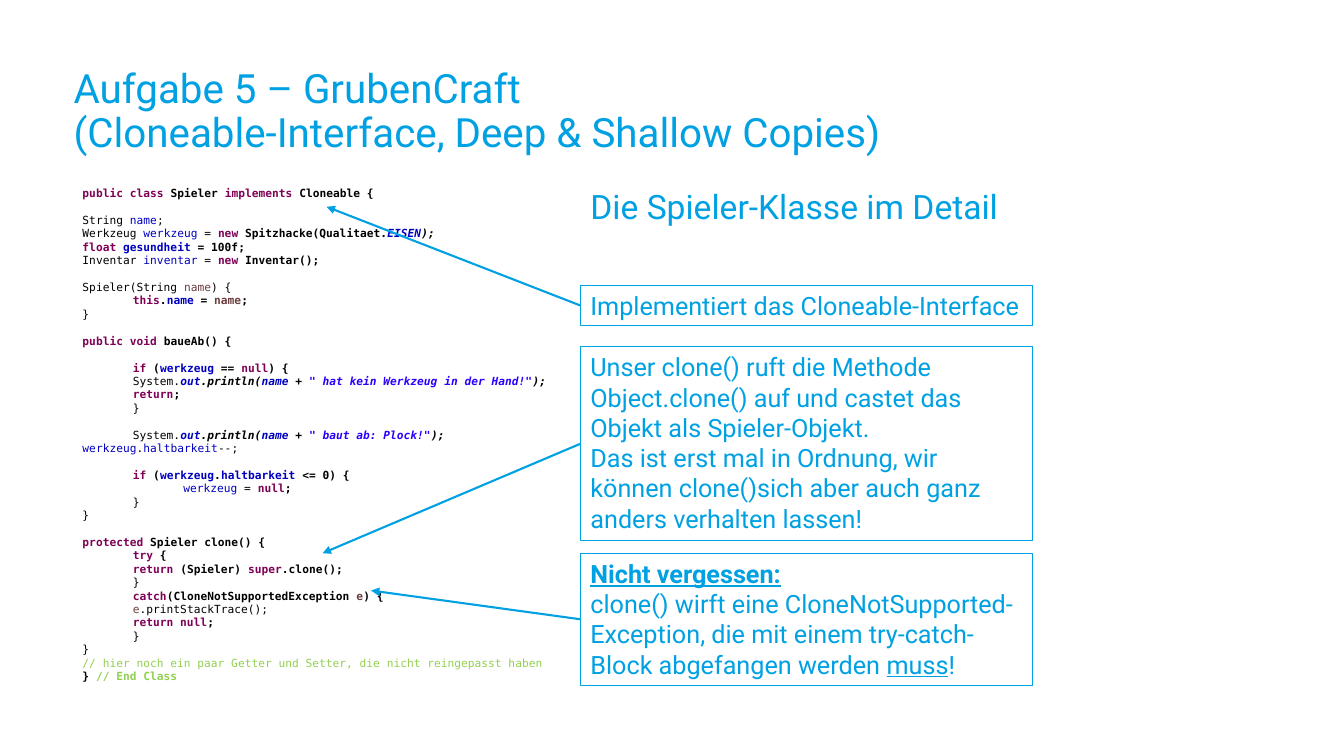
from lxml.etree import SubElement
from pptx import Presentation
from pptx.dml.color import RGBColor
from pptx.enum.shapes import MSO_CONNECTOR, MSO_SHAPE
from pptx.enum.text import MSO_ANCHOR, MSO_AUTO_SIZE, PP_ALIGN
from pptx.oxml.ns import qn
from pptx.util import Cm, Pt

SKY = RGBColor(0x00, 0xA1, 0xE3)
BLACK = RGBColor(0x00, 0x00, 0x00)
KEYWORD = RGBColor(0x7F, 0x00, 0x55)
FIELD = RGBColor(0x00, 0x00, 0xC0)
PARAMETER = RGBColor(0x6A, 0x3E, 0x3E)
STRING = RGBColor(0x2A, 0x00, 0xFF)
COMMENT = RGBColor(0x92, 0xD0, 0x50)

TOKEN_STYLES = {
    "n": dict(color=BLACK),
    "b": dict(color=BLACK, bold=True),
    "i": dict(color=BLACK, bold=True, italic=True),
    "k": dict(color=KEYWORD, bold=True),
    "f": dict(color=FIELD),
    "F": dict(color=FIELD, bold=True),
    "I": dict(color=FIELD, bold=True, italic=True),
    "p": dict(color=PARAMETER),
    "P": dict(color=PARAMETER, bold=True),
    "s": dict(color=STRING, bold=True, italic=True),
    "c": dict(color=COMMENT),
    "C": dict(color=COMMENT, bold=True),
}

INDENT_MARK = ">"
CODE_BLOCKS = [
    ["kpublic class§b Spieler §kimplements§b Cloneable {"],
    ["nString §fname§n;",
     "nWerkzeug §fwerkzeug§n = §knew§b Spitzhacke(Qualitaet.§IEISEN§i);",
     "kfloat §Fgesundheit§b = 100f;",
     "nInventar §finventar§n = §knew§b Inventar();"],
    ["nSpieler(String §pname§n) {",
     "k\tthis§b.§Fname§b = §Pname§b;",
     "n}"],
    ["kpublic void §bbaueAb() {"],
    [">kif§b (§Fwerkzeug§b == §knull§b) {",
     'n\tSystem.§Iout§i.println(§Iname§i + §s" hat kein Werkzeug in der Hand!"§i);',
     "k\treturn§b;",
     "n\t}"],
    ['n\tSystem.§Iout§i.println(§Iname§i + §s" baut ab: Plock!"§i);\t'
     "§fwerkzeug§n.§fhaltbarkeit§n--;"],
    ["k\tif§b (§Fwerkzeug§b.§Fhaltbarkeit§b <= 0) {",
     "f\t\twerkzeug§n = §knull§b;",
     "n\t}",
     "n}"],
    ["kprotected§b Spieler clone() {",
     "k\ttry§b {",
     "k\treturn§b (Spieler) §ksuper§b.clone();",
     "n\t}",
     ">kcatch§b(CloneNotSupportedException §Pe§b) {",
     ">pe§n.printStackTrace();",
     ">kreturn null§b;",
     ">n}",
     "n}",
     "c// hier noch ein paar Getter und Setter, die nicht reingepasst haben",
     "b} §C// End Class"],
]

COLUMN_LEFT, COLUMN_WIDTH = Cm(14.63), Cm(11.38)
HEADING = dict(bold=True, underline=True)
NOTES = [
    (7.19, 1.02, (8.23, 5.21), [[("Implementiert das Cloneable-Interface", {})]]),
    (8.74, 4.88, (8.13, 13.94), [
        [("Unser clone() ruft die Methode Object.clone() auf und castet das "
          "Objekt als Spieler-Objekt.", {})],
        [("Das ist erst mal in Ordnung, wir können clone()sich aber auch ganz "
          "anders verhalten lassen!", {})]]),
    (13.94, 3.33, (9.35, 14.88), [
        [("Nicht vergessen:", HEADING)],
        [("clone() wirft eine CloneNotSupported-Exception, die mit einem "
          "try-catch-Block abgefangen werden ", {}),
         ("muss", dict(underline=True)), ("!", {})]]),
]


def add_run(paragraph, text, *, font="Roboto", size=18, color=SKY,
            bold=False, italic=False, underline=False):
    """Append formatted text to a paragraph."""
    run = paragraph.add_run()
    run.text = text
    run.font.name = font
    run.font.size = Pt(size)
    run.font.color.rgb = color
    run.font.bold = bold
    run.font.italic = italic
    run.font.underline = underline


def next_paragraph(frame, is_first):
    """Return the frame's first paragraph or a new left-aligned one."""
    paragraph = frame.paragraphs[0] if is_first else frame.add_paragraph()
    paragraph.alignment = PP_ALIGN.LEFT
    return paragraph


def fill_title(title, lines):
    """Place the title and set its lines with a break between them."""
    title.left, title.top = Cm(1.6), Cm(1.6)
    title.width, title.height = Cm(29.21), Cm(2.46)
    frame = title.text_frame
    frame.auto_size = MSO_AUTO_SIZE.NONE
    frame.vertical_anchor = MSO_ANCHOR.MIDDLE
    heading = next_paragraph(frame, True)
    heading.line_spacing = 0.9
    for number, line in enumerate(lines):
        if number:
            heading.add_line_break()
        add_run(heading, line, size=28.8)


def add_text_box(slide, left, top, width, height):
    """Add a wrapping text box and return its text frame."""
    frame = slide.shapes.add_textbox(left, top, width, height).text_frame
    frame.word_wrap = True
    return frame


def add_code(slide):
    """Add the highlighted class listing."""
    frame = add_text_box(slide, Cm(1.83), Cm(4.57), Cm(12.83), Cm(12.9))
    for block_number, block in enumerate(CODE_BLOCKS):
        for line_number, line in enumerate(block):
            statement = next_paragraph(frame, block_number + line_number == 0)
            if block_number and line_number == 0:
                statement.space_before = Pt(9.6)
            if line.startswith(INDENT_MARK):
                properties = statement._p.get_or_add_pPr()
                properties.set("marL", str(Cm(1.27)))
                properties.set("indent", "0")
            for token in line.lstrip(INDENT_MARK).split("§"):
                add_run(statement, token[1:], font="DejaVu Sans Mono", size=8,
                        **TOKEN_STYLES[token[0]])


def add_note(slide, top, height, paragraphs):
    """Add an outlined note and return it."""
    note = slide.shapes.add_shape(MSO_SHAPE.RECTANGLE, COLUMN_LEFT, Cm(top),
                                  COLUMN_WIDTH, Cm(height))
    note.shadow.inherit = False
    note.fill.background()
    note.line.color.rgb = SKY
    note.line.width = Pt(0.75)
    frame = note.text_frame
    frame.word_wrap = True
    frame.vertical_anchor = MSO_ANCHOR.TOP
    for number, parts in enumerate(paragraphs):
        sentence = next_paragraph(frame, number == 0)
        for text, style in parts:
            add_run(sentence, text, **style)
    return note


def add_arrow(slide, note, target):
    """Draw an arrow from a note's left side to a place in the code."""
    x, y = (Cm(value) for value in target)
    arrow = slide.shapes.add_connector(MSO_CONNECTOR.STRAIGHT, x, y, x, y)
    arrow.begin_connect(note, 1)
    arrow.line.color.rgb = SKY
    arrow.line.width = Pt(1.5)
    SubElement(arrow.line._get_or_add_ln(), qn("a:tailEnd"), type="triangle")
    SubElement(arrow._element.spPr, qn("a:effectLst"))


def main():
    """Build the slide and save it."""
    deck = Presentation()
    deck.slide_width, deck.slide_height = Cm(33.87), Cm(19.05)
    slide = deck.slides.add_slide(deck.slide_layouts[5])
    fill_title(slide.shapes.title, ["Aufgabe 5 – GrubenCraft",
                                    "(Cloneable-Interface, Deep & Shallow Copies)"])
    add_code(slide)
    subtitle = add_text_box(slide, COLUMN_LEFT, Cm(4.57), COLUMN_WIDTH, Cm(1.27))
    add_run(next_paragraph(subtitle, True), "Die Spieler-Klasse im Detail", size=24)
    for top, height, target, paragraphs in NOTES:
        add_arrow(slide, add_note(slide, top, height, paragraphs), target)
    deck.save("out.pptx")


if __name__ == "__main__":
    main()
